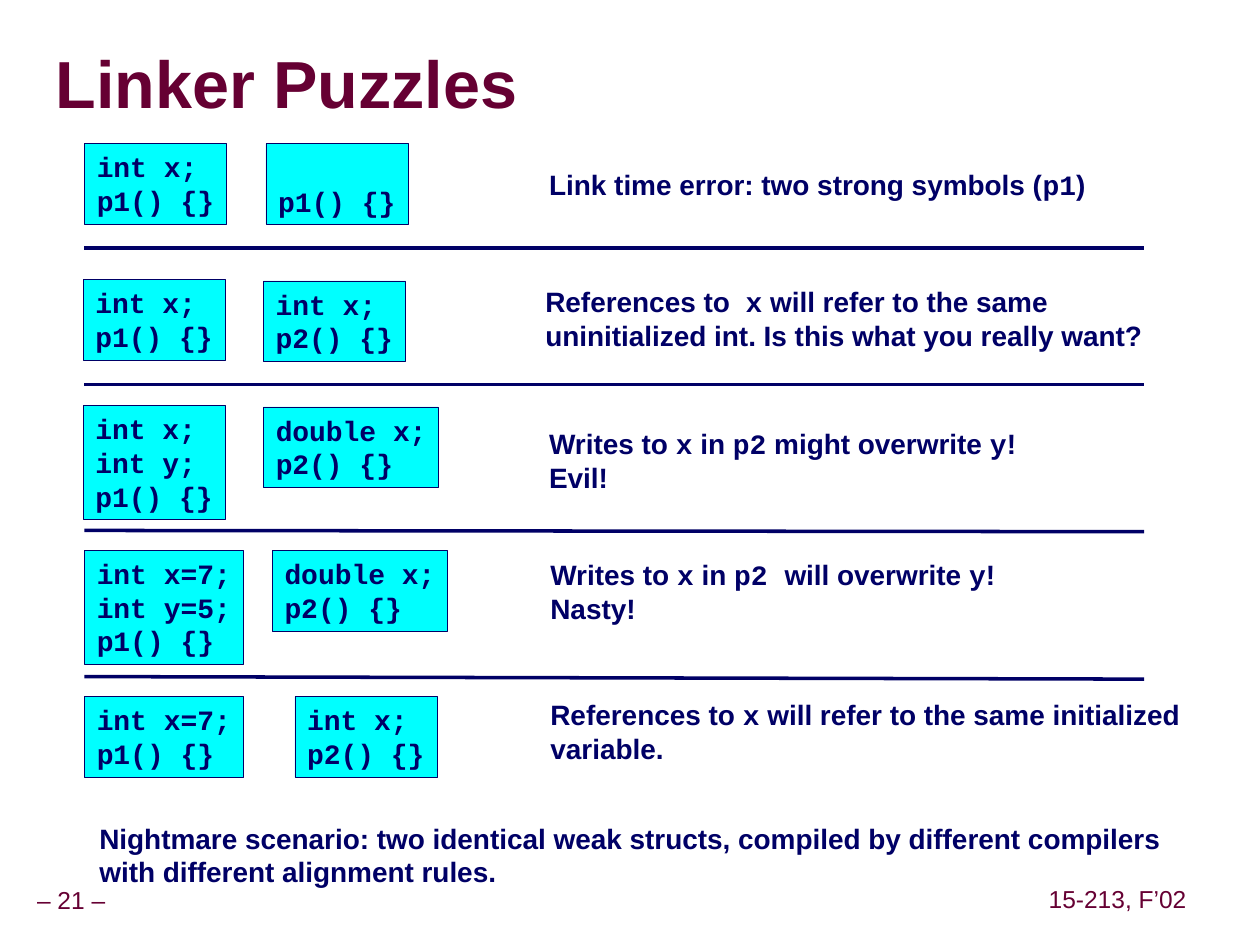
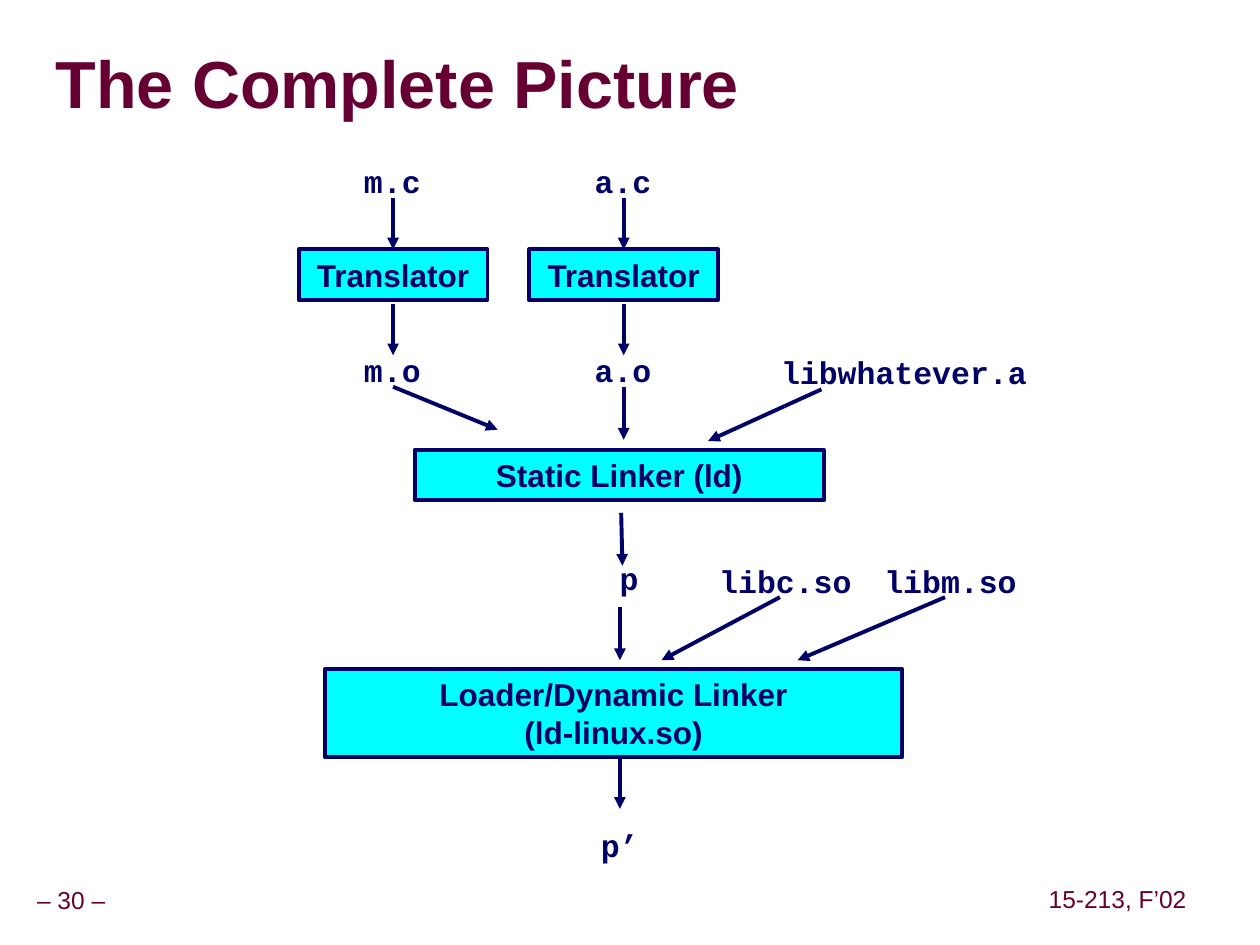
from dataclasses import dataclass

from lxml import etree
from pptx import Presentation
from pptx import util as u
from pptx.dml import color
from pptx.enum import shapes, text as t
from pptx.oxml import ns

PX = 9144  # 100 px to the inch


@dataclass(frozen=True)
class Theme:
    ink: str = "000066"
    maroon: str = "660033"
    cyan: str = "00FFFF"
    shadow: str = "969696"
    sans: str = "Arial"
    mono: str = "Courier New"
    title: int = 38
    diagram: int = 18
    body: int = 16
    footer: int = 14
    hairline: float = 0.25
    rule: float = 2
    stroke: float = 2.25


@dataclass(frozen=True)
class Box:
    left: int
    top: int
    width: int
    height: int

    def inner(self, left, top, width, height):
        return Box(self.left + left, self.top + top, width, height)

    def emu(self):
        return [value * PX for value in (self.left, self.top, self.width, self.height)]


THEME = Theme()
COURSE = "15-213, F’02"
LEFT, CENTER = t.PP_ALIGN.LEFT, t.PP_ALIGN.CENTER
TOP, MIDDLE, BOTTOM = t.MSO_ANCHOR.TOP, t.MSO_ANCHOR.MIDDLE, t.MSO_ANCHOR.BOTTOM


def rgb(value):
    return color.RGBColor.from_string(value)


def write(frame, text, *, size=THEME.body, font=THEME.sans, ink=THEME.ink, bold=True,
          align=LEFT, anchor=TOP, margins=(10, 5), spacing=None, wrap=False):
    """Write one paragraph per line; text between backticks is set in the code font."""
    frame.word_wrap = wrap
    frame.auto_size = t.MSO_AUTO_SIZE.NONE
    frame.vertical_anchor = anchor
    frame.margin_left = frame.margin_right = margins[0] * PX
    frame.margin_top = frame.margin_bottom = margins[1] * PX
    for index, line in enumerate(text.split("\n")):
        para = frame.add_paragraph() if index else frame.paragraphs[0]
        para.alignment = align
        if spacing:
            para.line_spacing = spacing
        for order, piece in enumerate(line.split("`")):
            if not piece:
                continue
            span = para.add_run()
            span.text = piece
            span.font.size = u.Pt(size)
            span.font.bold = bold
            span.font.color.rgb = rgb(ink)
            span.font.name = THEME.mono if order % 2 else font


def add_text(page, box, text, **style):
    write(page.shapes.add_textbox(*box.emu()).text_frame, text, **style)


def add_panel(page, box, text, *, stroke, **style):
    panel = page.shapes.add_shape(shapes.MSO_SHAPE.RECTANGLE, *box.emu())
    panel.shadow.inherit = False
    panel.fill.solid()
    panel.fill.fore_color.rgb = rgb(THEME.cyan)
    panel.line.color.rgb = rgb(THEME.ink)
    panel.line.width = u.Pt(stroke)
    write(panel.text_frame, text, **style)
    return panel


def add_line(page, start, end, *, width=THEME.stroke, arrow=True):
    line = page.shapes.add_connector(shapes.MSO_CONNECTOR.STRAIGHT,
                                     *[value * PX for value in (*start, *end)])
    line.line.color.rgb = rgb(THEME.ink)
    line.line.width = u.Pt(width)
    properties = line._element.spPr
    if arrow:
        etree.SubElement(properties.find(ns.qn("a:ln")), ns.qn("a:tailEnd"), type="triangle")
    etree.SubElement(properties, ns.qn("a:effectLst"))
    return line


def shade(span):
    """Give a run a hard drop shadow."""
    effects = etree.Element(ns.qn("a:effectLst"))
    shadow = etree.SubElement(effects, ns.qn("a:outerShdw"), dist="53882", dir="2700000",
                              algn="ctr", rotWithShape="0")
    etree.SubElement(shadow, ns.qn("a:srgbClr"), val=THEME.shadow)
    span.font._element.find(ns.qn("a:solidFill")).addnext(effects)


def add_page(deck, title, number):
    """Start a page with the shared title and footers."""
    page = deck.slides.add_slide(deck.slide_layouts[5])
    heading = page.shapes.title
    heading.left, heading.top, heading.width, heading.height = Box(44, 27, 953, 85).emu()
    write(heading.text_frame, title, size=THEME.title, ink=THEME.maroon, anchor=MIDDLE,
          margins=(0, 0), spacing=0.87, wrap=True)
    shade(heading.text_frame.paragraphs[0].runs[0])
    for box, text in ((Box(-9, 700, 131, 31), f"– {number} –"),
                      (Box(827, 699, 120, 31), COURSE)):
        add_text(page, box, text, size=THEME.footer, ink=THEME.maroon, bold=False,
                 align=CENTER, anchor=MIDDLE, margins=(5, 5), spacing=0.9)
    return page


# Puzzle page

def text_height(text):
    return 12 + 26 * len(text.split("\n"))


def add_code(page, row, left, top, code, lines=None):
    """Place a code panel in a row, sized by its text."""
    width = round(20 + 13.25 * max(map(len, code.split("\n"))))
    height = text_height(code) if lines is None else 12 + 26 * lines
    add_panel(page, row.inner(left, top, width, height), code, stroke=THEME.hairline,
              font=THEME.mono, anchor=BOTTOM if lines else TOP)


def add_puzzle(page, row, first, second, second_at, note, note_at, lines=None):
    """Place two code panels and the answer in one row."""
    add_code(page, row, 0, 0, first)
    add_code(page, row, *second_at, second, lines)
    left, top, width = note_at
    add_text(page, row.inner(left, top, width, text_height(note)), note)


def build_puzzles(deck):
    page = add_page(deck, "Linker Puzzles", 21)
    add_puzzle(page, Box(67, 114, 841, 64), "int x;\np1() {}", "p1() {}", (144, 0),
               "Link time error: two strong symbols (`p1`)", (359, 14, 445), lines=2)
    add_puzzle(page, Box(66, 222, 841, 64), "int x;\np1() {}", "int x;\np2() {}", (143, 1),
               "References to  `x` will refer to the same\n"
               "uninitialized int. Is this what you really want?", (357, -1, 494))
    add_puzzle(page, Box(66, 322, 841, 90), "int x;\nint y;\np1() {}",
               "double x;\np2() {}", (143, 1),
               "Writes to `x` in `p2` might overwrite `y`!\nEvil!", (360, 12, 391))
    add_puzzle(page, Box(67, 437, 841, 90), "int x=7;\nint y=5;\np1() {}",
               "double x;\np2() {}", (149, 0),
               "Writes to `x` in `p2 `will overwrite `y`!\nNasty!", (360, 1, 373))
    add_puzzle(page, Box(67, 553, 841, 64), "int x=7;\np1() {}", "int x;\np2() {}", (167, 0),
               "References to `x` will refer to the same initialized\nvariable.",
               (360, -4, 520))
    add_text(page, Box(69, 647, 862, 64),
             "Nightmare scenario: two identical weak structs, compiled by different compilers\n"
             "with different alignment rules.")
    # Rules between the rows
    for start, end in ((197, 197), (305, 305), (421, 422), (537, 539)):
        add_line(page, (67, start), (908, end), width=THEME.rule, arrow=False)


# Linking diagram page

def add_label(page, area, left, top, name):
    add_text(page, area.inner(left, top, 20 + 15 * len(name), 40), name,
             size=THEME.diagram, font=THEME.mono)


def add_step(page, box, text):
    return add_panel(page, box, text, stroke=THEME.stroke, size=THEME.diagram,
                     align=CENTER, wrap=True)


def add_arrow(page, area, start, end):
    return add_line(page, (area.left + start[0], area.top + start[1]),
                    (area.left + end[0], area.top + end[1]))


def add_translation(page, column, name, target):
    """Place a source file, its translator and its object file in a column."""
    middle = column.width // 2
    add_label(page, column, 42, 0, f"{name}.c")
    translator = add_step(page, column.inner(0, 74, column.width, 40), "Translator")
    add_label(page, column, 42, 150, f"{name}.o")
    add_arrow(page, column, (middle, 33), (middle, 74)).end_connect(translator, 0)
    add_arrow(page, column, (middle, 117), (middle, 158))
    add_arrow(page, column, (middle, 183), target)


def add_static_linking(page, area):
    add_label(page, area, 281, 0, "libwhatever.a")
    add_arrow(page, area, (323, 34), (233, 75))
    add_step(page, area.inner(0, 82, 325, 40), "Static Linker (ld)")
    add_arrow(page, area, (164, 132), (165, 174))


def add_loading(page, area):
    for left, top, name in ((224, 0, "p"), (303, 2, "libc.so"), (434, 2, "libm.so"),
                            (209, 212, "p’")):
        add_label(page, area, left, top, name)
    add_step(page, area.inner(0, 92, 458, 70), "Loader/Dynamic Linker\n(ld-linux.so)")
    for start, end in (((234, 43), (234, 85)), ((361, 35), (267, 85)),
                       ((492, 35), (375, 85)), ((234, 162), (234, 203))):
        add_arrow(page, area, start, end)


def build_linking(deck):
    page = add_page(deck, "The Complete Picture", 30)
    add_translation(page, Box(237, 124, 150, 190), "m", (158, 217))
    add_translation(page, Box(420, 124, 150, 190), "a", (75, 225))
    add_static_linking(page, Box(329, 275, 496, 174))
    add_loading(page, Box(258, 439, 559, 252))


def main():
    deck = Presentation()
    deck.slide_width, deck.slide_height = 1000 * PX, 750 * PX
    build_puzzles(deck)
    build_linking(deck)
    deck.save("out.pptx")


if __name__ == "__main__":
    main()
